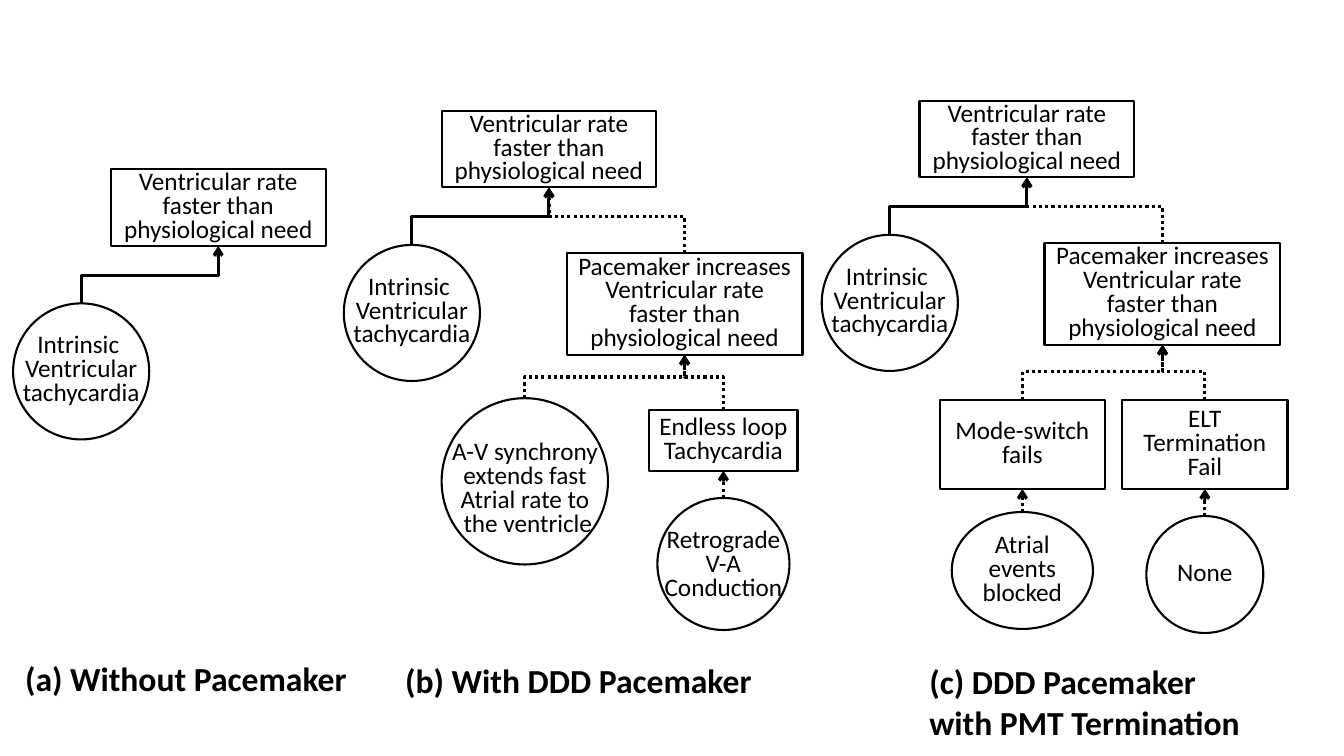
from lxml import etree
from pptx import Presentation
from pptx.dml.color import RGBColor
from pptx.enum.dml import MSO_LINE
from pptx.enum.shapes import MSO_CONNECTOR as CONN, MSO_SHAPE as SHAPE
from pptx.enum.text import MSO_ANCHOR, MSO_AUTO_SIZE, PP_ALIGN
from pptx.oxml.ns import qn
from pptx.util import Emu, Inches, Pt

COLORS = {"ink": "000000"}
FONT = "Calibri"
INK = RGBColor.from_string(COLORS["ink"])
RATE = "Ventricular rate faster than physiological need"


def write(tf, lines, size=18, bold=None, align=PP_ALIGN.CENTER, spacing=Pt(17)):
    for i, line in enumerate(lines):
        p = tf.paragraphs[0] if i == 0 else tf.add_paragraph()
        p.text = line
        p.alignment = align
        p.line_spacing = spacing
        p.font.name, p.font.size, p.font.bold = FONT, Pt(size), bold
        p.font.color.rgb = INK


def node(s, kind, x, y, w, h, *lines):
    sp = s.shapes.add_shape(kind, Inches(x), Inches(y), Inches(w), Inches(h))
    sp.shadow.inherit = False
    sp.fill.background()
    sp.line.color.rgb = INK
    sp.line.width = Pt(1.5)
    sp.text_frame.word_wrap = True
    sp.text_frame.vertical_anchor = MSO_ANCHOR.MIDDLE
    write(sp.text_frame, lines)
    return sp


def labelled_circle(s, x, y, d, lines, dx=0, dy=0):
    """Circle with an unwrapped label, moved dx, dy from its centre."""
    sp = node(s, SHAPE.OVAL, x, y, d, d)
    w, h = d + 0.1, 0.1 + len(lines) * 0.24
    tb = s.shapes.add_textbox(Inches(x + (d - w) / 2 + dx),
                              Inches(y + (d - h) / 2 + dy), Inches(w), Inches(h))
    tb.text_frame.word_wrap = False
    tb.text_frame.auto_size = MSO_AUTO_SIZE.SHAPE_TO_FIT_TEXT
    write(tb.text_frame, lines)
    return sp


def link(s, child, parent, bend=0.29, dotted=True):
    """Arrow from a child's top to its parent's bottom, bent below the parent."""
    x1, y1 = child.left + child.width // 2, child.top
    x2, y2 = parent.left + parent.width // 2, parent.top + parent.height
    if abs(x2 - x1) < Inches(0.02):
        c = s.shapes.add_connector(CONN.STRAIGHT, x1, y1, x1, y2)
    else:
        # An elbow leaves sideways, so lay it out flat and turn it upright
        cx, cy = (x1 + x2) // 2, (y1 + y2) // 2
        half_w, half_h = (y1 - y2) // 2, abs(x2 - x1) // 2
        side = 1 if x1 < x2 else -1
        c = s.shapes.add_connector(CONN.ELBOW,
                                   Emu(cx + side * half_w), Emu(cy + half_h),
                                   Emu(cx - side * half_w), Emu(cy - half_h))
        c._element.spPr.xfrm.set("rot", "5400000" if side > 0 else "16200000")
        guides = c._element.spPr.find(qn("a:prstGeom")).find(qn("a:avLst"))
        share = round(100000 * (y1 - y2 - Inches(bend)) / (y1 - y2))
        etree.SubElement(guides, qn("a:gd"), name="adj1", fmla=f"val {share}")
    c.line.color.rgb = INK
    c.line.width = Pt(2.25)
    if dotted:
        c.line.dash_style = MSO_LINE.ROUND_DOT
    etree.SubElement(c.line._get_or_add_ln(), qn("a:tailEnd"), type="arrow")
    etree.SubElement(c._element.spPr, qn("a:effectLst"))


def caption(s, x, y, w, h, text):
    tb = s.shapes.add_textbox(Inches(x), Inches(y), Inches(w), Inches(h))
    tb.text_frame.word_wrap = True
    tb.text_frame.auto_size = MSO_AUTO_SIZE.SHAPE_TO_FIT_TEXT
    write(tb.text_frame, [text], 24, True, PP_ALIGN.LEFT, None)


def hazard(s, x, y):
    """Top event at x, y with its intrinsic cause."""
    top = node(s, SHAPE.RECTANGLE, x, y, 2.13, 0.76, RATE)
    cause = labelled_circle(s, x - 0.97, y + 1.33, 1.35,
                            ["Intrinsic ", "Ventricular", "tachycardia"])
    link(s, cause, top, dotted=False)
    return top


def pacemaker_hazard(s, x, y):
    top = hazard(s, x, y)
    pacing = node(s, SHAPE.RECTANGLE, x + 1.24, y + 1.41, 2.34, 1.01,
                  "Pacemaker increases " + RATE)
    link(s, pacing, top)
    return pacing


def without_pacemaker(s, x, y):
    hazard(s, x, y)
    caption(s, x - 0.95, y + 4.8, 3.41, 0.5, "(a) Without Pacemaker")


def with_pacemaker(s, x, y):
    pacing = pacemaker_hazard(s, x, y)
    synchrony = labelled_circle(
        s, x, y + 2.85, 1.65,
        ["A-V synchrony ", "extends fast ", "Atrial rate to ", "the ventricle"],
        0.03, 0.09)
    loop = node(s, SHAPE.RECTANGLE, x + 2.06, y + 2.97, 1.47, 0.6,
                "Endless loop", "Tachycardia")
    retrograde = labelled_circle(s, x + 2.14, y + 3.84, 1.31,
                                 ["Retrograde", "V-A", "Conduction"], dy=0.02)
    for child in (synchrony, loop):
        link(s, child, pacing, 0.22)
    link(s, retrograde, loop)
    caption(s, x - 0.46, y + 5.4, 4.05, 0.5, "(b) With DDD Pacemaker")


def with_termination(s, x, y):
    pacing = pacemaker_hazard(s, x, y)
    switch = node(s, SHAPE.RECTANGLE, x + 0.2, y + 2.97, 1.64, 0.88,
                  "Mode-switch", "fails")
    termination = node(s, SHAPE.RECTANGLE, x + 2.01, y + 2.97, 1.64, 0.88,
                       "ELT Termination Fail")
    blocked = node(s, SHAPE.OVAL, x + 0.32, y + 4.08, 1.4, 1.16,
                   "Atrial events blocked")
    none = node(s, SHAPE.OVAL, x + 2.25, y + 4.12, 1.16, 1.16, "None")
    for cause, failure in ((blocked, switch), (none, termination)):
        link(s, failure, pacing, 0.27)
        link(s, cause, failure)
    caption(s, x, y + 5.51, 3.34, 0.91, "(c) DDD Pacemaker with PMT Termination")


def main():
    prs = Presentation()
    prs.slide_width, prs.slide_height = Inches(13.33), Inches(7.5)
    s = prs.slides.add_slide(prs.slide_layouts[6])
    without_pacemaker(s, 1.1, 1.68)
    with_pacemaker(s, 4.38, 1.1)
    with_termination(s, 9.12, 1)
    prs.save("out.pptx")


if __name__ == "__main__":
    main()
